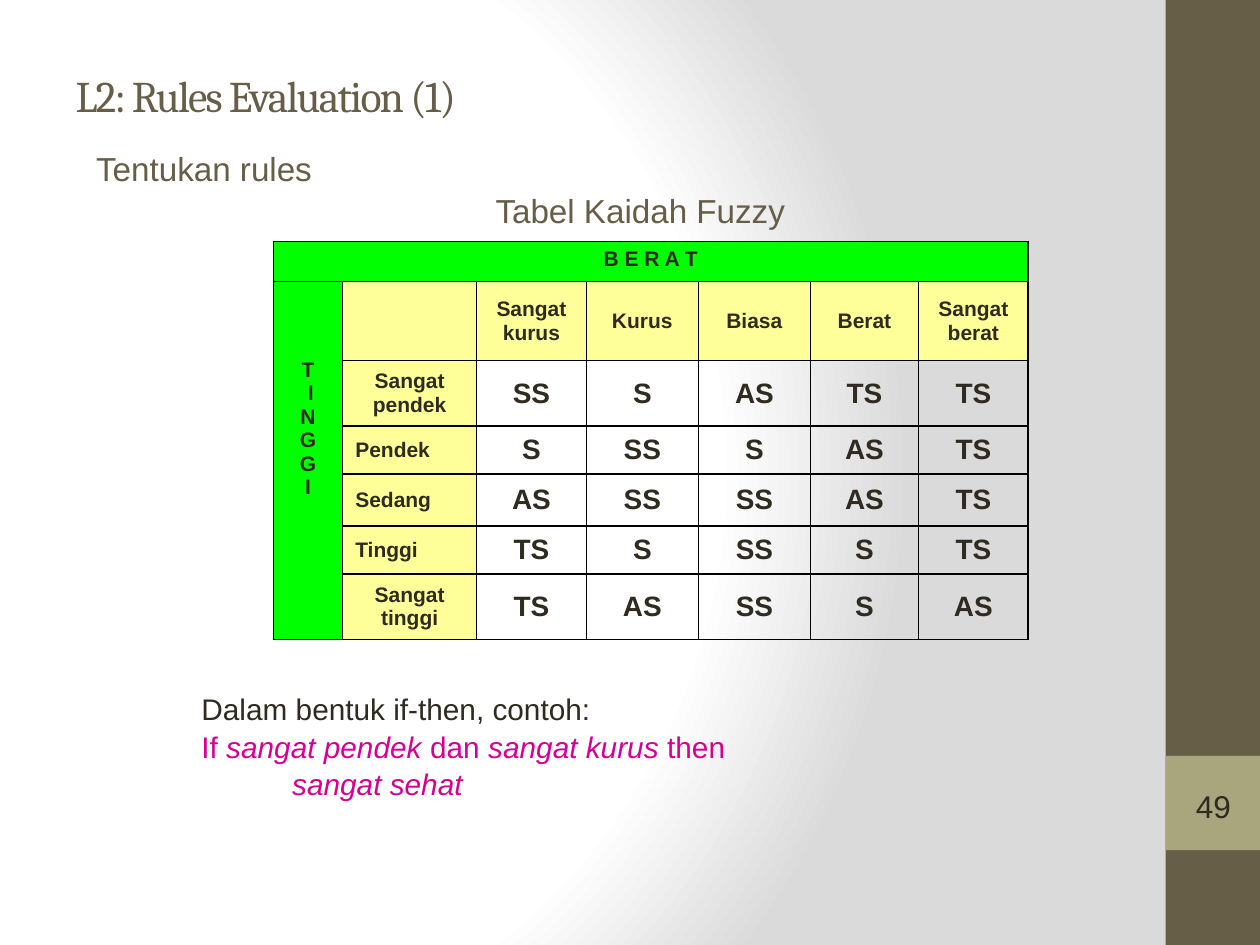
from lxml import etree
from pptx import Presentation
from pptx.dml.color import RGBColor
from pptx.enum.shapes import MSO_SHAPE as Shape
from pptx.enum.text import MSO_ANCHOR as Anchor, PP_ALIGN as Align
from pptx.oxml import parse_xml
from pptx.oxml.ns import nsdecls, qn
from pptx.util import Cm, Pt

BROWN, TAN, INK, PINK = "675E47", "A9A57C", "2F2B20", "D60093"
GREEN, YELLOW, BLACK = "00FF00", "FFFF99", "000000"

COL_WIDTHS = [1.4, 2.7, 2.21, 2.26, 2.26, 2.18, 2.21]
ROW_HEIGHTS = [0.8, 1.6, 1.32, 0.97, 1.04, 0.97, 1.32]
WEIGHTS = ["Sangat kurus", "Kurus", "Biasa", "Berat", "Sangat berat"]
RULES = {
    "Sangat pendek": "SS S AS TS TS",
    "Pendek": "S SS S AS TS",
    "Sedang": "AS SS SS AS TS",
    "Tinggi": "TS S SS S TS",
    "Sangat tinggi": "TS AS SS S AS",
}


def rgb(hex_color):
    return RGBColor.from_string(hex_color)


def style(font, size, color, name="Arial", bold=False, italic=False):
    font.size, font.name = Pt(size), name
    font.bold, font.italic = bold, italic
    font.color.rgb = rgb(color)


def set_background(slide):
    """Radial gradient, white fading to grey towards the right."""
    stops = "".join(
        f'<a:gs pos="{pos}"><a:srgbClr val="{color}"/></a:gs>'
        for pos, color in [(0, "FFFFFF"), (75000, "FFFFFF"), (100000, "DADADA")])
    bg = parse_xml(
        f'<p:bg {nsdecls("p", "a")}><p:bgPr><a:gradFill rotWithShape="1">'
        f'<a:gsLst>{stops}</a:gsLst><a:path path="circle">'
        '<a:fillToRect l="20000" t="50000" r="100000" b="50000"/></a:path>'
        '</a:gradFill><a:effectLst/></p:bgPr></p:bg>')
    slide.element.cSld.insert(0, bg)


def add_panel(slide, kind, x, y, w, h, fill=None):
    sp = slide.shapes.add_shape(kind, Cm(x), Cm(y), Cm(w), Cm(h))
    sp.shadow.inherit = False
    sp.line.fill.background()
    if fill:
        sp.fill.solid()
        sp.fill.fore_color.rgb = rgb(fill)
    else:
        sp.fill.background()
    return sp


def add_page_number(slide, number):
    sp = add_panel(slide, Shape.DOUBLE_BRACKET, 23.7, 15.7, 1.52, 1.09)
    tf = sp.text_frame
    tf.margin_left = tf.margin_right = tf.margin_top = tf.margin_bottom = 0
    tf.vertical_anchor = Anchor.MIDDLE
    tf.text = number
    p = tf.paragraphs[0]
    p.alignment = Align.CENTER
    style(p.runs[0].font, 18, INK)


def add_title(slide, text):
    title = slide.shapes.title
    title.left, title.top, title.width, title.height = Cm(1.27), Cm(1.27), Cm(22.86), Cm(1.27)
    tf = title.text_frame
    tf.text = text
    tf.vertical_anchor = Anchor.MIDDLE
    p = tf.paragraphs[0]
    p.alignment = Align.LEFT
    r = p.runs[0]
    style(r.font, 25, BROWN, "Cambria")
    r.font._element.set("spc", "-100")


def add_text_box(slide, x, y, w, h):
    tf = slide.shapes.add_textbox(Cm(x), Cm(y), Cm(w), Cm(h)).text_frame
    tf.word_wrap = True
    tf.vertical_anchor = Anchor.MIDDLE
    return tf


def add_label(slide, text, x, y, w, h):
    tf = add_text_box(slide, x, y, w, h)
    tf.text = text
    style(tf.paragraphs[0].runs[0].font, 19, BROWN)


def add_example(slide):
    """If-then rule; each line is a list of (text, italic) runs."""
    lines = [
        (INK, 0, [("Dalam bentuk if-then, contoh:", False)]),
        (PINK, 0, [("If ", False), ("sangat pendek", True), (" dan ", False),
                   ("sangat kurus", True), (" then", False)]),
        (PINK, 1.83, [("sangat sehat", True)]),
    ]
    tf = add_text_box(slide, 3.81, 13.34, 17.78, 3.38)
    for i, (color, indent, runs) in enumerate(lines):
        p = tf.add_paragraph() if i else tf.paragraphs[0]
        p.line_spacing = 1.05
        if indent:
            p._p.get_or_add_pPr().set("marL", str(Cm(indent)))
        for text, italic in runs:
            r = p.add_run()
            r.text = text
            style(r.font, 17, color, italic=italic)


def set_borders(cell):
    tc_pr = cell._tc.get_or_add_tcPr()
    for i, side in enumerate(("a:lnL", "a:lnR", "a:lnT", "a:lnB")):
        ln = etree.Element(qn(side), w=str(Pt(1)))
        fill = etree.SubElement(ln, qn("a:solidFill"))
        etree.SubElement(fill, qn("a:srgbClr"), val=BLACK)
        tc_pr.insert(i, ln)


def fill_cell(cell, text, size=12, fill=None, align=Align.CENTER, anchor=Anchor.MIDDLE):
    cell.text = text
    cell.vertical_anchor = anchor
    if fill:
        cell.fill.solid()
        cell.fill.fore_color.rgb = rgb(fill)
    else:
        cell.fill.background()
    for p in cell.text_frame.paragraphs:
        p.alignment = align
        for r in p.runs:
            style(r.font, size, INK, bold=True)


def add_rule_table(slide):
    table = slide.shapes.add_table(
        len(ROW_HEIGHTS), len(COL_WIDTHS), Cm(5.51), Cm(4.87),
        Cm(sum(COL_WIDTHS)), Cm(sum(ROW_HEIGHTS))).table
    table.first_row = table.horz_banding = False
    for col, width in zip(table.columns, COL_WIDTHS):
        col.width = Cm(width)
    for row, height in zip(table.rows, ROW_HEIGHTS):
        row.height = Cm(height)

    table.cell(0, 0).merge(table.cell(0, 6))
    table.cell(1, 0).merge(table.cell(6, 0))
    fill_cell(table.cell(0, 0), "B E R A T", fill=GREEN, anchor=Anchor.TOP)
    side = table.cell(1, 0)
    fill_cell(side, "T\n I\nN\nG\nG\nI", fill=GREEN, anchor=Anchor.TOP)
    side.margin_top = Cm(1.55)

    for c, weight in enumerate([""] + WEIGHTS, 1):
        fill_cell(table.cell(1, c), weight, fill=YELLOW)
    for r, (height, values) in enumerate(RULES.items(), 2):
        align = Align.CENTER if " " in height else Align.LEFT
        fill_cell(table.cell(r, 1), height, fill=YELLOW, align=align)
        for c, value in enumerate(values.split(), 2):
            fill_cell(table.cell(r, c), value, size=16)
    for cell in table.iter_cells():
        set_borders(cell)


def main():
    prs = Presentation()
    prs.slide_width, prs.slide_height = Cm(25.4), Cm(19.05)
    slide = prs.slides.add_slide(prs.slide_layouts[5])
    set_background(slide)
    add_panel(slide, Shape.RECTANGLE, 23.5, 0, 1.9, 19.05, BROWN)
    add_panel(slide, Shape.RECTANGLE, 23.5, 15.24, 1.9, 1.9, TAN)
    add_title(slide, "L2: Rules Evaluation (1)")
    add_page_number(slide, "49")
    add_label(slide, "Tentukan rules", 1.69, 2.75, 21.5, 1.27)
    add_rule_table(slide)
    add_label(slide, "Tabel Kaidah Fuzzy", 9.74, 3.81, 7.62, 0.85)
    add_example(slide)
    prs.save("out.pptx")


if __name__ == "__main__":
    main()
